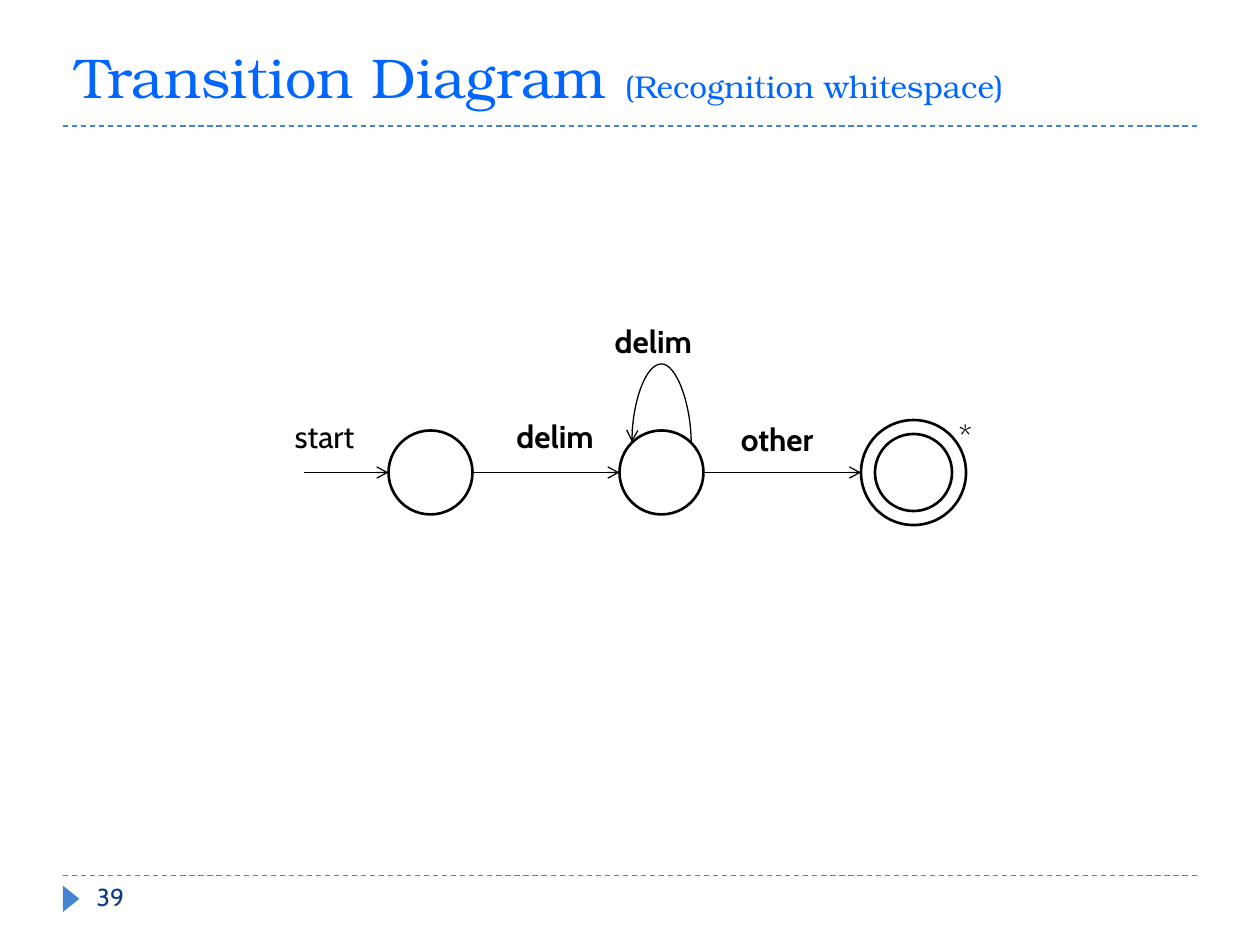
from lxml import etree
from pptx import Presentation
from pptx.dml.color import RGBColor
from pptx.enum.dml import MSO_LINE
from pptx.enum.shapes import MSO_CONNECTOR, MSO_SHAPE
from pptx.enum.text import MSO_ANCHOR
from pptx.oxml.ns import qn
from pptx.util import Pt

DASH = MSO_LINE.DASH
STRAIGHT, CURVE = MSO_CONNECTOR.STRAIGHT, MSO_CONNECTOR.CURVE
OVAL, DONUT, TRIANGLE = MSO_SHAPE.OVAL, MSO_SHAPE.DONUT, MSO_SHAPE.ISOSCELES_TRIANGLE
TOP, BOTTOM = MSO_ANCHOR.TOP, MSO_ANCHOR.BOTTOM

BLACK = RGBColor(0x00, 0x00, 0x00)
WHITE = RGBColor(0xFF, 0xFF, 0xFF)
TITLE_BLUE = RGBColor(0x00, 0x66, 0xFF)
RULE_BLUE = RGBColor(0x45, 0x84, 0xD3)
NUMBER_BLUE = RGBColor(0x07, 0x3E, 0x87)
BODY_FONT, TITLE_FONT = "Cabin", "TeX Gyre Bonum"


def add_text(slide, box, *pieces, font=BODY_FONT, color=BLACK, bold=False,
             anchor=TOP, wrap=True):
    frame = slide.shapes.add_textbox(*map(Pt, box)).text_frame
    frame.word_wrap = wrap
    frame.vertical_anchor = anchor
    for text, size in pieces:
        run = frame.paragraphs[0].add_run()
        run.text = text
        run.font.name = font
        run.font.size = Pt(size)
        run.font.bold = bold
        run.font.color.rgb = color


def add_line(slide, start, end, kind=STRAIGHT, color=BLACK, dashed=False, arrow=False):
    line = slide.shapes.add_connector(kind, *map(Pt, (*start, *end)))
    line.line.color.rgb = color
    line.line.width = Pt(0.75)
    if dashed:
        line.line.dash_style = DASH
    properties = line._element.spPr
    if arrow:
        etree.SubElement(properties.find(qn("a:ln")), qn("a:tailEnd"), type="arrow")
    etree.SubElement(properties, qn("a:effectLst"))
    return line


def add_solid(slide, kind, box, fill, outline=None):
    solid = slide.shapes.add_shape(kind, *map(Pt, box))
    solid.shadow.inherit = False
    solid.fill.solid()
    solid.fill.fore_color.rgb = fill
    if outline is None:
        solid.line.fill.background()
    else:
        solid.line.color.rgb = outline
        solid.line.width = Pt(1.5)
    return solid


def add_header(slide, left, top, width, height):
    rule = top + height + 6
    add_line(slide, (left, rule), (left + width, rule), color=RULE_BLUE, dashed=True)
    add_text(slide, (left, top, width, height),
             ("Transition Diagram ", 32), ("(Recognition whitespace)", 18),
             font=TITLE_FONT, color=TITLE_BLUE, anchor=BOTTOM)


def add_footer(slide, left, top, width, height):
    add_line(slide, (left, top), (left + width, top), color=RULE_BLUE, dashed=True)
    marker = add_solid(slide, TRIANGLE, (left - 3, top + 8.7, 15.2, 9.5), RULE_BLUE)
    marker.rotation = 90
    add_text(slide, (left + 12.2, top, 36, height), ("39", 14), color=NUMBER_BLUE)


def add_self_loop(slide, state, center_x, center_y, radius):
    reach = radius * 0.707
    half_span, drop = reach, 0.5
    ends_y = center_y - reach
    loop = add_line(slide, (center_x - drop, ends_y - half_span),
                    (center_x + drop, ends_y + half_span), kind=CURVE, arrow=True)
    properties = loop._element.spPr
    frame = properties.find(qn("a:xfrm"))
    frame.set("rot", "16200000")
    frame.set("flipV", "1")
    guides = properties.find(qn("a:prstGeom")).get_or_add_avLst()
    etree.SubElement(guides, qn("a:gd"), name="adj1", fmla="val 4593300")
    links = loop._element.find(".//" + qn("p:cNvCxnSpPr"))
    for tag, site in (("a:stCxn", "7"), ("a:endCxn", "1")):
        etree.SubElement(links, qn(tag), id=str(state.shape_id), idx=site)


def add_automaton(slide, left, top, width, height):
    axis = top + height - 30
    radius, final_radius = 24, 30
    first, second, final = left + 72, left + 204, left + width - final_radius

    states = [add_solid(slide, OVAL, (x - radius, axis - radius, 2 * radius, 2 * radius),
                        WHITE, BLACK) for x in (first, second)]
    accepting = add_solid(slide, DONUT, (final - final_radius, axis - final_radius,
                                         2 * final_radius, 2 * final_radius), WHITE, BLACK)
    accepting.adjustments[0] = 0.133

    moves = ((left, first - radius), (first + radius, second - radius),
             (second + radius, final - final_radius))
    for start, end in moves:
        add_line(slide, (start, axis), (end, axis), arrow=True)
    add_self_loop(slide, states[1], second, axis, radius)

    labels = (
        ("start", -12.7, -35.3, 49, False),
        ("delim", 114, -35.3, 62.6, True),
        ("delim", 170.2, -89.3, 62.6, True),
        ("other", 242.2, -33.8, 61.2, True),
        ("*", 366.7, -35.3, 22.3, False),
    )
    for label, dx, dy, label_width, bold in labels:
        add_text(slide, (left + dx, axis + dy, label_width, 29), (label, 18),
                 bold=bold, wrap=False)


def main():
    deck = Presentation()
    deck.slide_width, deck.slide_height = Pt(720), Pt(540)
    slide = deck.slides.add_slide(deck.slide_layouts[6])
    add_header(slide, 36, 12, 648, 54)
    add_automaton(slide, 174, 180, 378, 120)
    add_footer(slide, 36, 500.2, 648, 29)
    deck.save("out.pptx")


if __name__ == "__main__":
    main()
